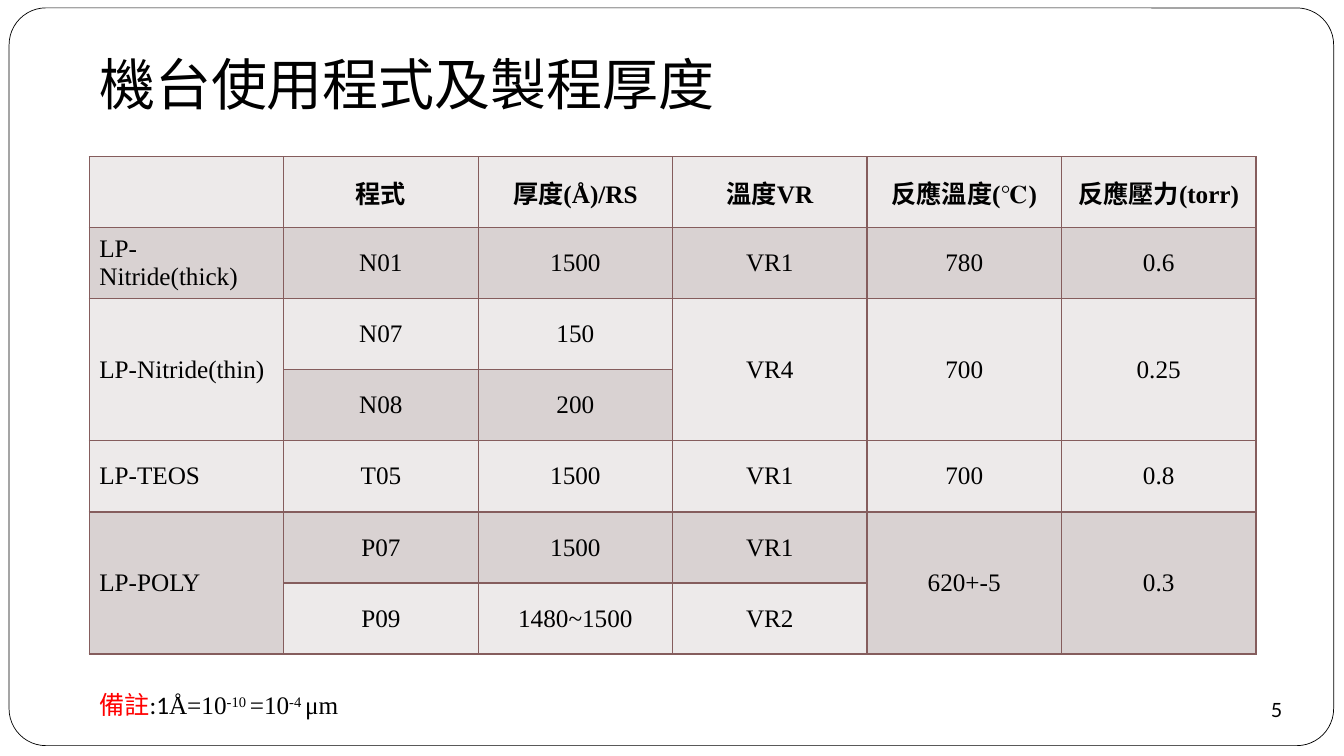
from dataclasses import dataclass

from lxml.etree import SubElement
from pptx import Presentation
from pptx.dml.color import RGBColor
from pptx.enum.shapes import MSO_SHAPE
from pptx.enum.text import MSO_ANCHOR, PP_ALIGN
from pptx.oxml.ns import qn
from pptx.util import Cm, Pt

COLORS = {
    "black": "000000",
    "white": "FFFFFF",
    "red": "FF0000",
    "border": "855D5D",
    "light": "EDEAEA",
    "dark": "D9D2D2",
}
CJK_FONT = "Noto Sans CJK SC"
SERIF = "Times New Roman"
ROW_HEIGHT = 1.79
COLUMN_WIDTH = 4.9


@dataclass
class TextStyle:
    size: float
    font: str
    color: str = "black"
    bold: bool = False
    superscript: bool = False


@dataclass
class NotePart:
    text: str
    style: TextStyle


@dataclass
class Merge:
    row: int
    column: int


HEADERS = ["", "程式", "厚度(Å)/RS", "溫度VR", "反應溫度(℃)", "反應壓力(torr)"]
ROWS = [
    HEADERS,
    ["LP-Nitride(thick)", "N01", "1500", "VR1", "780", "0.6"],
    ["LP-Nitride(thin)", "N07", "150", "VR4", "700", "0.25"],
    ["", "N08", "200", "", "", ""],
    ["LP-TEOS", "T05", "1500", "VR1", "700", "0.8"],
    ["LP-POLY", "P07", "1500", "VR1", "620+-5", "0.3"],
    ["", "P09", "1480~1500", "VR2", "", ""],
]
MERGES = [Merge(2, column) for column in (0, 3, 4, 5)]
MERGES += [Merge(5, column) for column in (0, 4, 5)]

NOTE_SERIF = TextStyle(18, SERIF)
NOTE_RAISED = TextStyle(18, SERIF, superscript=True)
NOTE_PARTS = [
    NotePart("備註", TextStyle(18, "Calibri", "red")),
    NotePart(":1", TextStyle(18, "Calibri")),
    NotePart("Å=10", NOTE_SERIF),
    NotePart("-10 ", NOTE_RAISED),
    NotePart("=10", NOTE_SERIF),
    NotePart("-4 ", NOTE_RAISED),
    NotePart("μm", NOTE_SERIF),
]


def rgb(name: str) -> RGBColor:
    return RGBColor.from_string(COLORS[name])


def style_run(run, style: TextStyle) -> None:
    run.font.size = Pt(style.size)
    run.font.name = style.font
    run.font.bold = style.bold
    run.font.color.rgb = rgb(style.color)
    properties = run._r.get_or_add_rPr()
    SubElement(properties, qn("a:ea"), typeface=CJK_FONT)
    if style.superscript:
        properties.set("baseline", "30000")


def add_text(slide, left: float, top: float, width: float, height: float,
             parts: list[NotePart]):
    text_frame = slide.shapes.add_textbox(
        Cm(left), Cm(top), Cm(width), Cm(height)).text_frame
    text_frame.word_wrap = True
    for part in parts:
        run = text_frame.paragraphs[0].add_run()
        run.text = part.text
        style_run(run, part.style)
    return text_frame


def add_frame(slide) -> None:
    shape = slide.shapes.add_shape(
        MSO_SHAPE.ROUNDED_RECTANGLE, Cm(0.23), Cm(0.2), Cm(33.38), Cm(18.59))
    shape.adjustments[0] = 0.05
    shape.shadow.inherit = False
    shape.fill.solid()
    shape.fill.fore_color.rgb = rgb("white")
    shape.line.color.rgb = rgb("black")
    shape.line.width = Pt(0.5)


def add_page_number(slide) -> None:
    shape = slide.shapes.add_shape(
        MSO_SHAPE.OVAL, Cm(31.32), Cm(17.25), Cm(1.7), Cm(1.27))
    shape.shadow.inherit = False
    shape.fill.solid()
    shape.fill.fore_color.rgb = rgb("white")
    shape.line.fill.background()
    text_frame = shape.text_frame
    text_frame.margin_left = text_frame.margin_right = 0
    text_frame.margin_top = text_frame.margin_bottom = 0
    text_frame.word_wrap = False
    text_frame.vertical_anchor = MSO_ANCHOR.MIDDLE
    text_frame.text = "5"
    paragraph = text_frame.paragraphs[0]
    paragraph.alignment = PP_ALIGN.CENTER
    style_run(paragraph.runs[0], TextStyle(14, "Lato"))


def set_borders(cell) -> None:
    properties = cell._tc.get_or_add_tcPr()
    for side in ("lnL", "lnR", "lnT", "lnB"):
        line = SubElement(properties, qn(f"a:{side}"), w=str(Pt(1)))
        fill = SubElement(line, qn("a:solidFill"))
        SubElement(fill, qn("a:srgbClr"), val=COLORS["border"])


def fill_cell(cell, text: str, row: int, column: int) -> None:
    set_borders(cell)
    cell.fill.solid()
    cell.fill.fore_color.rgb = rgb("dark" if row % 2 else "light")
    cell.vertical_anchor = MSO_ANCHOR.MIDDLE
    cell.text_frame.text = text
    paragraph = cell.text_frame.paragraphs[0]
    paragraph.alignment = PP_ALIGN.CENTER if column else PP_ALIGN.LEFT
    for run in paragraph.runs:
        style_run(run, TextStyle(18, SERIF, bold=row == 0))


def add_process_table(slide) -> None:
    table = slide.shapes.add_table(
        len(ROWS), len(HEADERS), Cm(2.25), Cm(3.95),
        Cm(COLUMN_WIDTH * len(HEADERS)), Cm(ROW_HEIGHT * len(ROWS))).table
    for table_column in table.columns:
        table_column.width = Cm(COLUMN_WIDTH)
    for table_row in table.rows:
        table_row.height = Cm(ROW_HEIGHT)
    for row, texts in enumerate(ROWS):
        for column, text in enumerate(texts):
            fill_cell(table.cell(row, column), text, row, column)
    for merge in MERGES:
        table.cell(merge.row, merge.column).merge(
            table.cell(merge.row + 1, merge.column))


def main() -> None:
    presentation = Presentation()
    presentation.slide_width = Cm(33.87)
    presentation.slide_height = Cm(19.05)
    slide = presentation.slides.add_slide(presentation.slide_layouts[6])

    add_frame(slide)
    title = add_text(slide, 2.25, 0, 28.79, 3.18, [
        NotePart("機台使用程式及製程厚度", TextStyle(40, CJK_FONT))])
    title.vertical_anchor = MSO_ANCHOR.BOTTOM
    title.margin_bottom = Cm(0.25)
    add_page_number(slide)
    add_process_table(slide)
    add_text(slide, 2.25, 17.25, 8.74, 1.03, NOTE_PARTS)

    presentation.save("out.pptx")


if __name__ == "__main__":
    main()
